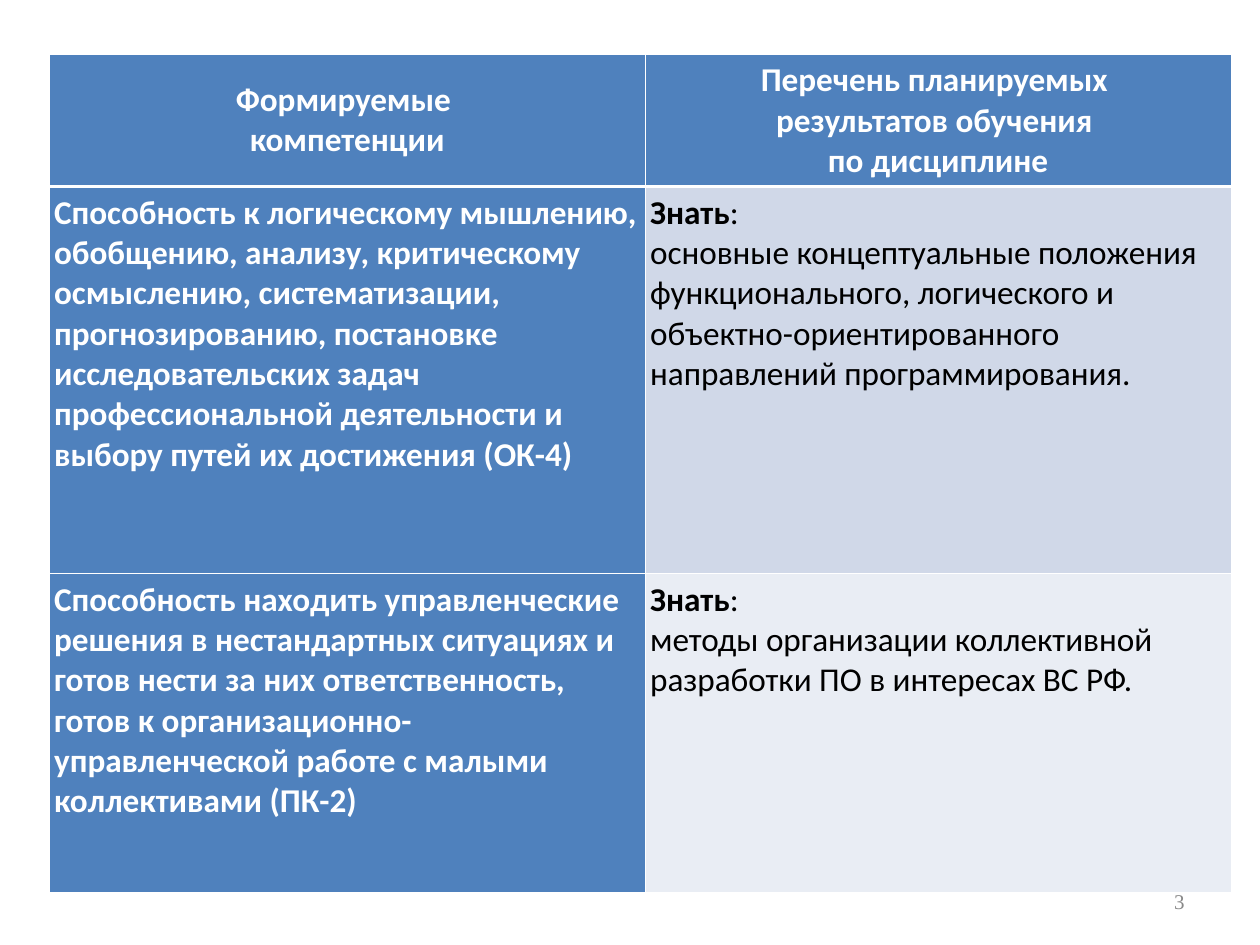
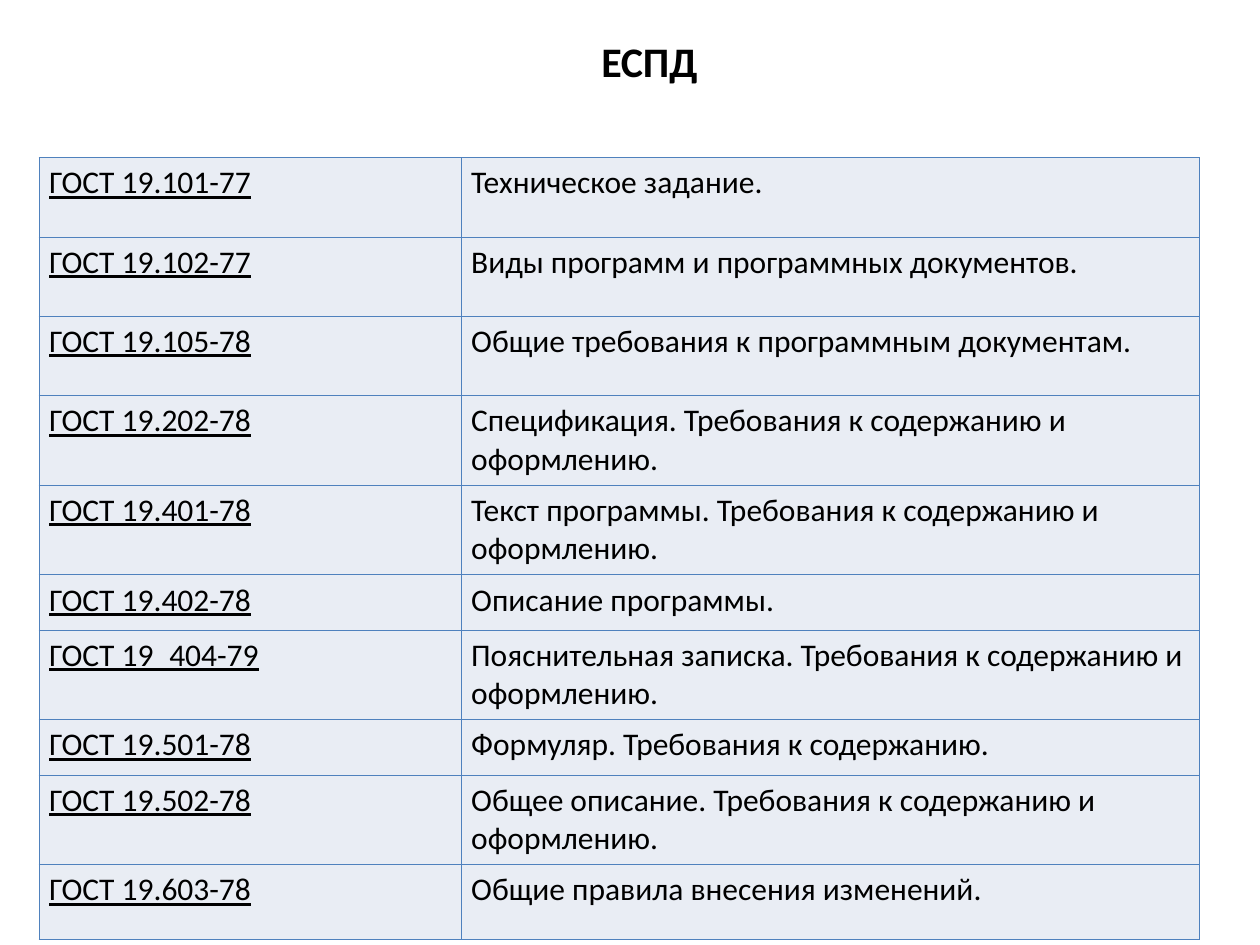
import pptx
import pptx.util
import pptx.dml.color
import pptx.enum.text
from lxml import etree

Pt = pptx.util.Pt
ALIGN = pptx.enum.text.PP_ALIGN
MIDDLE = pptx.enum.text.MSO_ANCHOR.MIDDLE
TOP = pptx.enum.text.MSO_ANCHOR.TOP
A = "{http://schemas.openxmlformats.org/drawingml/2006/main}"

# The slide is a grid of 100 columns by 75 rows.
COLS, ROWS = 100, 75
UNIT = pptx.util.Inches(0.1)
HUES = {"blue": "4F81BD", "dark": "D0D8E8", "light": "E9EDF4",
        "white": "FFFFFF", "black": "000000", "grey": "898989"}
FONT = "Calibri"
THIN, THICK = 0.45, 1.47

HEADS = ["Формируемые \nкомпетенции",
         "Перечень планируемых \nрезультатов обучения \nпо дисциплине"]
SKILLS = [
    ("Способность к логическому мышлению, обобщению, анализу, критическому "
     "осмыслению, систематизации, прогнозированию, постановке "
     "исследовательских задач профессиональной деятельности и выбору путей "
     "их достижения (ОК-4)",
     "основные концептуальные положения функционального, логического и "
     "объектно-ориентированного направлений программирования."),
    ("Способность находить управленческие решения в нестандартных ситуациях "
     "и готов нести за них ответственность, готов к "
     "организационно-управленческой работе с малыми коллективами (ПК-2)",
     "методы организации коллективной разработки ПО в интересах ВС РФ."),
]
NORMS = [
    ("ГОСТ 19.101-77", "Техническое задание.", 6.3),
    ("ГОСТ 19.102-77", "Виды программ и программных документов.", 6.3),
    ("ГОСТ 19.105-78", "Общие требования к программным документам.", 6.3),
    ("ГОСТ 19.202-78",
     "Спецификация. Требования к содержанию и оформлению.", 6.3),
    ("ГОСТ 19.401-78",
     "Текст программы. Требования к содержанию и оформлению.", 6.6),
    ("ГОСТ 19.402-78", "Описание программы.", 4.4),
    ("ГОСТ 19_404-79",
     "Пояснительная записка. Требования к содержанию и оформлению.", 6.6),
    ("ГОСТ 19.501-78", "Формуляр. Требования к содержанию.", 4.4),
    ("ГОСТ 19.502-78",
     "Общее описание. Требования к содержанию и оформлению.", 6.6),
    ("ГОСТ 19.603-78", "Общие правила внесения изменений.", 5.9),
]


def grid(*cells):
    return [round(cell * UNIT) for cell in cells]


def style(para, size, hue, bold=False, align=ALIGN.LEFT, face=FONT):
    para.alignment = align
    font = para.font
    font.name, font.size, font.bold = face, Pt(size), bold
    font.color.rgb = pptx.dml.color.RGBColor.from_string(HUES[hue])


def edge(cell, hue, **widths):
    """Draw cell borders; widths may override L, R, T or B in points."""
    props = cell._tc.get_or_add_tcPr()
    for side in "LRTB":
        width = Pt(widths.get(side, THIN))
        line = etree.SubElement(props, f"{A}ln{side}", w=str(width))
        fill = etree.SubElement(line, f"{A}solidFill")
        etree.SubElement(fill, f"{A}srgbClr", val=HUES[hue])


def paint(cell, hue, pad, anchor=TOP):
    cell.fill.solid()
    cell.fill.fore_color.rgb = pptx.dml.color.RGBColor.from_string(HUES[hue])
    cell.margin_left = cell.margin_right = grid(pad)[0]
    cell.vertical_anchor = anchor


def add_grid(slide, left, top, widths, heights):
    """Add a plain table whose size follows from its columns and rows."""
    box = grid(left, top, sum(widths), sum(heights))
    table = slide.shapes.add_table(len(heights), len(widths), *box).table
    table.first_row = table.horz_banding = False
    for col, width in zip(table.columns, grid(*widths)):
        col.width = width
    for row, height in zip(table.rows, grid(*heights)):
        row.height = height
    return table


def skill_table(slide, left, top):
    table = add_grid(slide, left, top, [47.3, 46.5], [10.3, 30.7, 25.3])
    for col, head in enumerate(HEADS):
        cell = table.cell(0, col)
        edge(cell, "white", B=THICK)
        paint(cell, "blue", 0.4, MIDDLE)
        para = cell.text_frame.paragraphs[0]
        para.text = head
        style(para, 19, "white", True, ALIGN.CENTER)
    for row, (skill, goal) in enumerate(SKILLS, 1):
        name, know = table.cell(row, 0), table.cell(row, 1)
        for cell, hue in (name, "blue"), (know, "dark" if row % 2 else "light"):
            edge(cell, "white", T=THICK if row == 1 else THIN)
            paint(cell, hue, 0.4)
        name.text = skill
        style(name.text_frame.paragraphs[0], 19, "white", True)
        know.text_frame.text = ":"
        lead = know.text_frame.paragraphs[0]
        lead.text = ""
        word = lead.add_run()
        word.text, word.font.bold = "Знать", True
        lead.add_run().text = ":"
        body = know.text_frame.add_paragraph()
        body.text = goal
        for para in lead, body:
            style(para, 19, "black")


def norm_table(slide, left, top):
    heights = [height for _, _, height in NORMS]
    table = add_grid(slide, left, top, [33.5, 58.6], heights)
    for row, norm in enumerate(NORMS):
        for col, text in enumerate(norm[:2]):
            cell = table.cell(row, col)
            edge(cell, "blue")
            paint(cell, "light", 0.8)
            cell.text = text
            para = cell.text_frame.paragraphs[0]
            style(para, 18, "black")
            para.font.underline = col == 0


def page_mark(slide, text, box):
    frame = slide.shapes.add_textbox(*grid(*box)).text_frame
    frame.word_wrap = True
    frame.vertical_anchor = MIDDLE
    frame.text = text
    style(frame.paragraphs[0], 12, "grey", align=ALIGN.RIGHT,
          face="Times New Roman")


def set_title(slide, text, box):
    title = slide.shapes.title
    title.left, title.top, title.width, title.height = grid(*box)
    title.text_frame.text = text
    title.text_frame.vertical_anchor = MIDDLE
    style(title.text_frame.paragraphs[0], 24, "black", True, ALIGN.CENTER)


def skill_slide(deck):
    slide = deck.slides.add_slide(deck.slide_layouts.get_by_name("Blank"))
    page_mark(slide, "3", (71.7, 69.5, 23.3, 4))
    skill_table(slide, 3.9, 4.3)


def norm_slide(deck):
    slide = deck.slides.add_slide(deck.slide_layouts.get_by_name("Title Only"))
    set_title(slide, "ЕСПД", (10.2, 2.3, 82.7, 5.1))
    norm_table(slide, 3.1, 12.5)


def main():
    deck = pptx.Presentation()
    deck.slide_width, deck.slide_height = grid(COLS, ROWS)
    skill_slide(deck)
    norm_slide(deck)
    deck.save("out.pptx")


if __name__ == "__main__":
    main()
